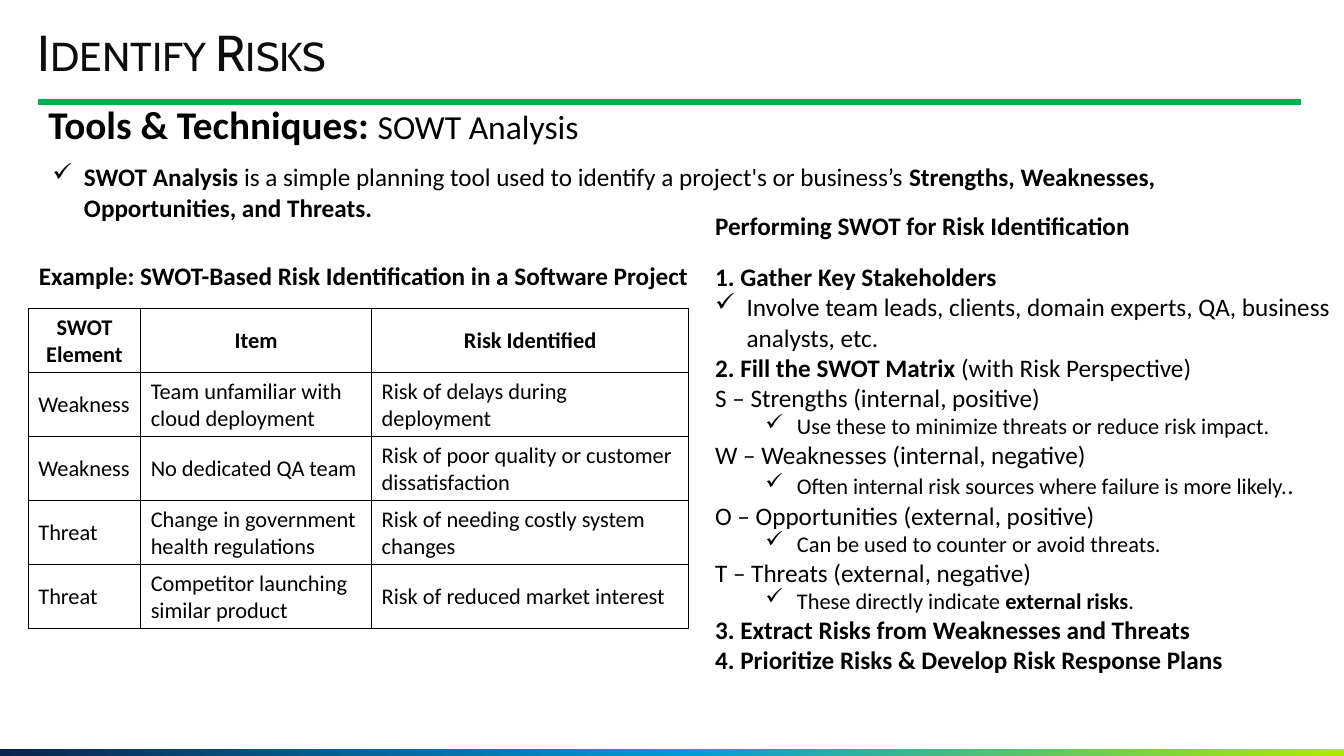
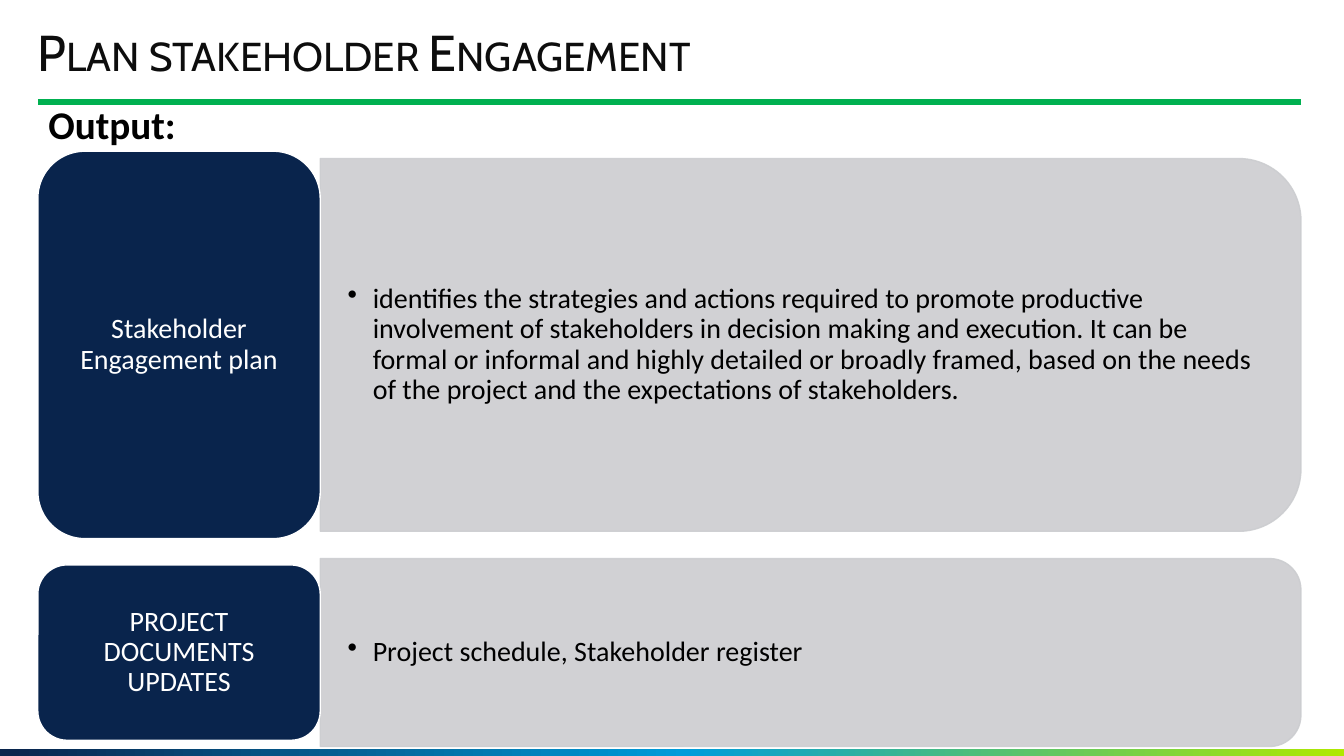
from dataclasses import dataclass

from lxml.etree import SubElement
from pptx import Presentation
from pptx.dml.color import RGBColor
from pptx.enum.shapes import MSO_CONNECTOR as CONN, MSO_SHAPE as SHAPE
from pptx.enum.text import MSO_ANCHOR as ANCHOR, PP_ALIGN as ALIGN
from pptx.oxml.ns import qn
from pptx.util import Pt

PX = 9525  # EMU per px, 96 px to the inch


@dataclass(frozen=True)
class Theme:
    title_font: str = "Cabin"
    body_font: str = "Calibri"
    title: str = "0D0D0D"
    text: str = "000000"
    white: str = "FFFFFF"
    navy: str = "09244C"
    grey: str = "CCCDD0"
    rule: str = "00B050"
    band: tuple = ((0, "09244C"), (51, "009CDA"), (100, "B0E900"))
    title_size: int = 36
    head_size: int = 28
    subhead_size: int = 24
    output_size: int = 20
    body_size: int = 18
    small_size: int = 16


T = Theme()
WIDTH, HEIGHT = 1280, 720
BOLD = {"bold": True}
SMALL = {"size": T.small_size}
CHECK = {"bullet": "✓", "left": 30, "hang": 30}
SUB_CHECK = {"bullet": "✓", "left": 78, "hang": 30}
DOT = {"bullet": "•", "left": 24, "hang": 24}

SWOT_ROWS = [
    ("SWOT Element", "Item", "Risk Identified"),
    ("Weakness", "Team unfamiliar with cloud deployment", "Risk of delays during deployment"),
    ("Weakness", "No dedicated QA team", "Risk of poor quality or customer dissatisfaction"),
    ("Threat", "Change in government health regulations", "Risk of needing costly system changes"),
    ("Threat", "Competitor launching similar product", "Risk of reduced market interest"),
]

# Each paragraph is (runs, bullet); each run is (text, format).
SWOT_INTRO = [([
    ("SWOT Analysis", BOLD),
    (" is a simple planning tool used to identify a project's or business’s ", {}),
    ("Strengths, Weaknesses, Opportunities, and Threats.", BOLD),
], CHECK)]
SWOT_STEPS = [
    ([("1. Gather Key Stakeholders", BOLD)], None),
    ([("Involve team leads, clients, domain experts, QA, business analysts, etc.", {})], CHECK),
    ([("2. Fill the SWOT Matrix", BOLD), (" (with Risk Perspective)", {})], None),
    ([("S – Strengths (internal, positive)", {})], None),
    ([("Use these to minimize threats or reduce risk impact.", SMALL)], SUB_CHECK),
    ([("W – Weaknesses (internal, negative)", {})], None),
    ([("Often internal risk sources where failure is more likely.", SMALL), (".", {})], SUB_CHECK),
    ([("O – Opportunities (external, positive)", {})], None),
    ([("Can be used to counter or avoid threats.", SMALL)], SUB_CHECK),
    ([("T – Threats (external, negative)", {})], None),
    ([("These directly indicate ", SMALL), ("external risks", SMALL | BOLD), (".", SMALL)], SUB_CHECK),
    ([("3. Extract Risks from Weaknesses and Threats", BOLD)], None),
    ([("4. Prioritize Risks & Develop Risk Response Plans", BOLD)], None),
]

# Label, description, then top and height of the label and of the bar.
OUTPUTS = [
    ("Stakeholder Engagement plan",
     "identifies the strategies and actions required to promote productive involvement of "
     "stakeholders in decision making and execution. It can be formal or informal and highly "
     "detailed or broadly framed, based on the needs of the project and the expectations of "
     "stakeholders.", (144, 369), (151, 355)),
    ("PROJECT DOCUMENTS UPDATES", "Project schedule, Stakeholder register",
     (538, 167), (532, 179)),
]


def emu(*lengths):
    return [round(v * PX) for v in lengths]


def rgb(value):
    return RGBColor.from_string(value)


def set_attrs(obj, values):
    for name, value in values.items():
        setattr(obj, name, value)


def set_alpha(fill_parent, percent):
    color = fill_parent.find(qn("a:solidFill"))[0]
    SubElement(color, qn("a:alpha"), val=str(percent * 1000))


def add_run(p, text, size=T.body_size, color=T.text, name=T.body_font, bold=False):
    r = p.add_run()
    r.text = text
    set_attrs(r.font, {"size": Pt(size), "name": name, "bold": bold})
    r.font.color.rgb = rgb(color)
    return r


def set_bullet(p, bullet, left, hang):
    pPr = p._p.get_or_add_pPr()
    pPr.set("marL", str(left * PX))
    pPr.set("indent", str(-hang * PX))
    SubElement(pPr, qn("a:buChar"), char=bullet)


def write(tf, paragraphs, spacing=None, align=ALIGN.LEFT):
    for i, (runs, bullet) in enumerate(paragraphs):
        p = tf.add_paragraph() if i else tf.paragraphs[0]
        set_attrs(p, {"alignment": align, "line_spacing": spacing})
        if bullet:
            set_bullet(p, **bullet)
        for text, fmt in runs:
            add_run(p, text, **fmt)


def set_frame(tf, inset, anchor):
    """Wrap, anchor and pad a text frame; inset is (horizontal, vertical) px."""
    h, v = emu(*inset)
    set_attrs(tf, {"word_wrap": True, "vertical_anchor": anchor, "margin_left": h,
                   "margin_right": h, "margin_top": v, "margin_bottom": v})


def add_text(s, box, paragraphs, inset=(10, 5), anchor=ANCHOR.TOP, spacing=None):
    tf = s.shapes.add_textbox(*emu(*box)).text_frame
    set_frame(tf, inset, anchor)
    write(tf, paragraphs, spacing)
    return tf


def add_shape(s, kind, box, fill, line=None):
    sp = s.shapes.add_shape(kind, *emu(*box))
    sp.shadow.inherit = False
    sp.fill.solid()
    sp.fill.fore_color.rgb = rgb(fill)
    if line:
        sp.line.color.rgb = rgb(line)
        sp.line.width = Pt(1)
    else:
        sp.line.fill.background()
    return sp


def add_band(s):
    sp = add_shape(s, SHAPE.RECTANGLE, (0, 713, WIDTH, 7), T.navy)
    sp.fill.gradient()
    sp.fill.gradient_angle = 0
    stops = sp._element.spPr.find(qn("a:gradFill")).find(qn("a:gsLst"))
    for stop in list(stops):
        stops.remove(stop)
    for percent, color in T.band:
        stop = SubElement(stops, qn("a:gs"), pos=str(percent * 1000))
        SubElement(stop, qn("a:srgbClr"), val=color)


def add_rule(s):
    line = s.shapes.add_connector(CONN.STRAIGHT, *emu(36, 97, 1239, 97))
    line.line.color.rgb = rgb(T.rule)
    line.line.width = Pt(4.5)
    SubElement(line._element.spPr, qn("a:effectLst"))


def new_slide(prs, title, heading, detail=""):
    s = prs.slides.add_slide(prs.slide_layouts[6])
    add_band(s)
    add_rule(s)
    title_format = {"size": T.title_size, "color": T.title, "name": T.title_font}
    tf = add_text(s, (36, 26, 1074, 53), [([(title, title_format)], None)],
                  inset=(0, 0), anchor=ANCHOR.MIDDLE, spacing=0.9)
    tf.paragraphs[0].runs[0].font._element.set("cap", "small")
    runs = [(heading, BOLD | {"size": T.head_size})]
    if detail:
        runs.append((detail, {"size": T.subhead_size}))
    add_text(s, (36, 96, 1203, 53), [(runs, None)], spacing=0.9)
    return s


def set_borders(cell):
    tcPr = cell._tc.get_or_add_tcPr()
    for i, side in enumerate(("lnL", "lnR", "lnT", "lnB")):
        ln = tcPr.makeelement(qn(f"a:{side}"), {"w": str(Pt(1))})
        fill = SubElement(ln, qn("a:solidFill"))
        SubElement(fill, qn("a:srgbClr"), val=T.text)
        tcPr.insert(i, ln)


def add_grid(s, left, top, col_widths, row_height, rows):
    """Add a bordered table without fill whose first row is a bold, centred header."""
    box = emu(left, top, sum(col_widths), row_height * len(rows))
    table = s.shapes.add_table(len(rows), len(col_widths), *box).table
    set_attrs(table, {"first_row": False, "horz_banding": False})
    for column, width in zip(table.columns, emu(*col_widths)):
        column.width = width
    for i, row in enumerate(rows):
        for j, text in enumerate(row):
            cell = table.cell(i, j)
            cell.vertical_anchor = ANCHOR.MIDDLE
            cell.fill.background()
            set_borders(cell)
            fmt = SMALL | {"bold": i == 0}
            write(cell.text_frame, [([(text, fmt)], None)],
                  align=ALIGN.LEFT if i else ALIGN.CENTER)


def add_output(s, label, description, label_span, bar_span):
    """Add a navy label with a grey bar, rounded on its right, beside it."""
    left, split, right = 36, 305, 1239
    top, height = bar_span
    width = right - split
    # The bar stands upright about its centre and is then turned onto its side.
    upright = (split + (width - height) / 2, top + (height - width) / 2, height, width)
    bar = add_shape(s, SHAPE.ROUND_2_SAME_RECTANGLE, upright, T.grey, T.grey)
    bar.rotation = 90
    spPr = bar._element.spPr
    for part in (spPr, spPr.find(qn("a:ln"))):
        set_alpha(part, 90)
    add_text(s, (split, top, 918, height), [([(description, {"size": T.output_size})], DOT)],
             inset=(26, 13), anchor=ANCHOR.MIDDLE, spacing=0.9)

    top, height = label_span
    sp = add_shape(s, SHAPE.ROUNDED_RECTANGLE, (left, top, split - left, height), T.navy, T.white)
    set_frame(sp.text_frame, (8, 4), ANCHOR.MIDDLE)
    label_format = {"size": T.output_size, "color": T.white}
    write(sp.text_frame, [([(label, label_format)], None)], spacing=0.9, align=ALIGN.CENTER)


def add_risk_slide(prs):
    s = new_slide(prs, "Identify Risks", "Tools & Techniques: ", "SOWT Analysis")
    add_text(s, (40, 149, 1199, 68), SWOT_INTRO)
    steps_left = 671
    for left, top, width, text in (
        (steps_left, 195, WIDTH - steps_left, "Performing SWOT for Risk Identification"),
        (27, 243, 658, "Example: SWOT-Based Risk Identification in a Software Project"),
    ):
        add_text(s, (left, top, width, 38), [([(text, BOLD)], None)])
    add_text(s, (steps_left, 244, WIDTH - steps_left, 466), SWOT_STEPS)
    add_grid(s, 27, 294, (107, 220, 302), 61, SWOT_ROWS)


def add_engagement_slide(prs):
    s = new_slide(prs, "Plan stakeholder Engagement", "Output:")
    for output in OUTPUTS:
        add_output(s, *output)


def main():
    prs = Presentation()
    prs.slide_width, prs.slide_height = emu(WIDTH, HEIGHT)
    add_risk_slide(prs)
    add_engagement_slide(prs)
    prs.save("out.pptx")


if __name__ == "__main__":
    main()
